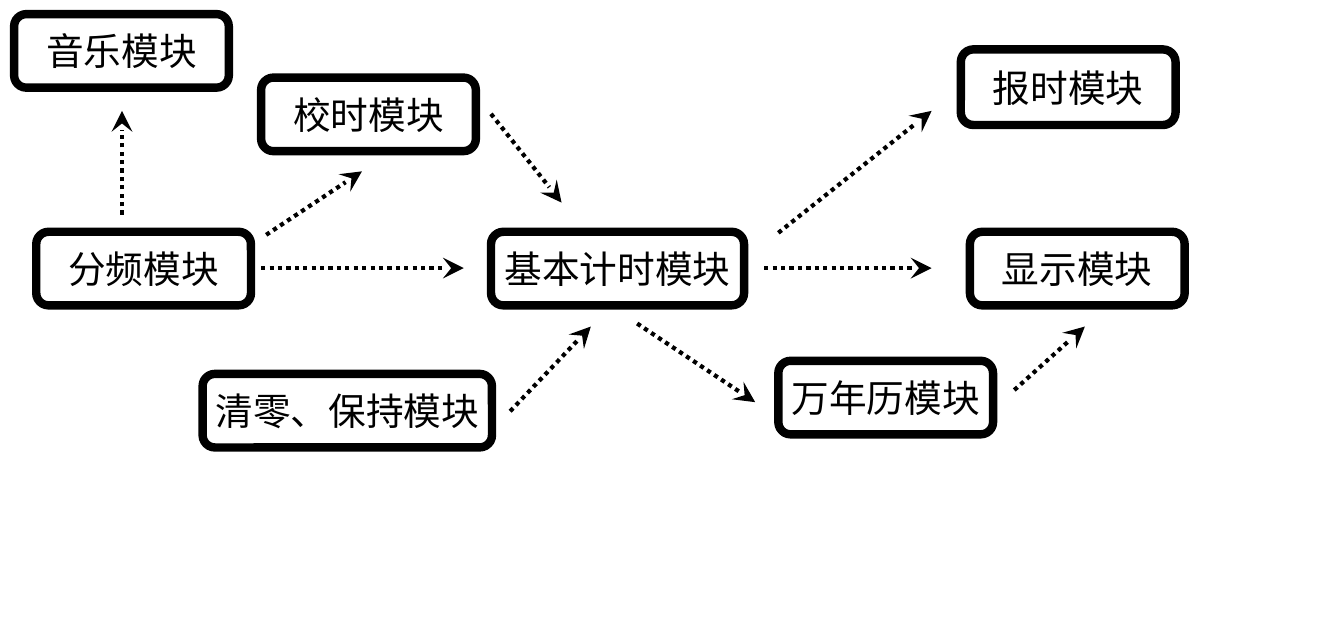
"""Build a slide with the module diagram of a digital clock."""
from dataclasses import dataclass

import pptx
import pptx.dml.color
import pptx.enum.dml
import pptx.enum.shapes
import pptx.enum.text
import pptx.oxml.ns
import pptx.util
from lxml import etree
from pptx.util import Inches


@dataclass(frozen=True)
class Theme:
    ink: pptx.dml.color.RGBColor = pptx.dml.color.RGBColor(0, 0, 0)
    font: str = "Calibri"
    size: float = 26.9
    border: float = 6
    arrow: float = 3


theme = Theme()


def write_text(tf, text, *, size=theme.size, font=theme.font, color=theme.ink,
               align=pptx.enum.text.PP_ALIGN.CENTER):
    tf.word_wrap = False
    tf.vertical_anchor = pptx.enum.text.MSO_ANCHOR.MIDDLE
    tf.margin_left = tf.margin_right = Inches(0.08)
    tf.margin_top = tf.margin_bottom = Inches(0.04)
    p = tf.paragraphs[0]
    p.alignment = align
    r = p.add_run()
    r.text = text
    r.font.size = pptx.util.Pt(size)
    r.font.name = font
    r.font.color.rgb = color


prs = pptx.Presentation()
prs.slide_width = Inches(13.33)
prs.slide_height = Inches(6.3)
s = prs.slides.add_slide(prs.slide_layouts[6])

box_w, box_h = 2.13, 0.73
modules = [
    ("分频模块", 0.36, 2.3, box_w, box_h),
    ("基本计时模块", 4.87, 2.3, 2.51, box_h),
    ("校时模块", 2.59, 0.77, box_w, box_h),
    ("音乐模块", 0.14, 0.14, box_w, box_h),
    ("显示模块", 9.62, 2.3, box_w, box_h),
    ("万年历模块", 7.72, 3.58, box_w, box_h),
    ("清零、保持模块", 2.01, 3.71, 2.87, box_h),
    ("报时模块", 9.53, 0.49, box_w, 0.75),
]
for name, *box in modules:
    sp = s.shapes.add_shape(pptx.enum.shapes.MSO_SHAPE.ROUNDED_RECTANGLE,
                            *map(Inches, box))
    sp.shadow.inherit = False
    sp.fill.background()
    sp.line.color.rgb = theme.ink
    sp.line.width = pptx.util.Pt(theme.border)
    write_text(sp.text_frame, name)

arrows = [
    (2.59, 2.66, 4.6, 2.66),
    (7.58, 2.66, 9.24, 2.66),
    (4.87, 1.13, 5.57, 2.01),
    (5.06, 4.08, 5.86, 3.24),
    (6.32, 3.21, 7.49, 3.99),
    (7.72, 2.31, 9.24, 1.1),
    (10.06, 3.87, 10.76, 3.24),
    (1.21, 2.13, 1.21, 1.1),
    (2.64, 2.33, 3.59, 1.7),
]
for ends in arrows:
    cx = s.shapes.add_connector(pptx.enum.shapes.MSO_CONNECTOR.STRAIGHT,
                                *map(Inches, ends))
    cx.line.color.rgb = theme.ink
    cx.line.width = pptx.util.Pt(theme.arrow)
    cx.line.dash_style = pptx.enum.dml.MSO_LINE.ROUND_DOT
    spPr = cx._element.spPr
    ln = spPr.find(pptx.oxml.ns.qn("a:ln"))
    etree.SubElement(ln, pptx.oxml.ns.qn("a:tailEnd"),
                     type="stealth", w="lg", len="lg")
    etree.SubElement(spPr, pptx.oxml.ns.qn("a:effectLst"))

prs.save("out.pptx")
